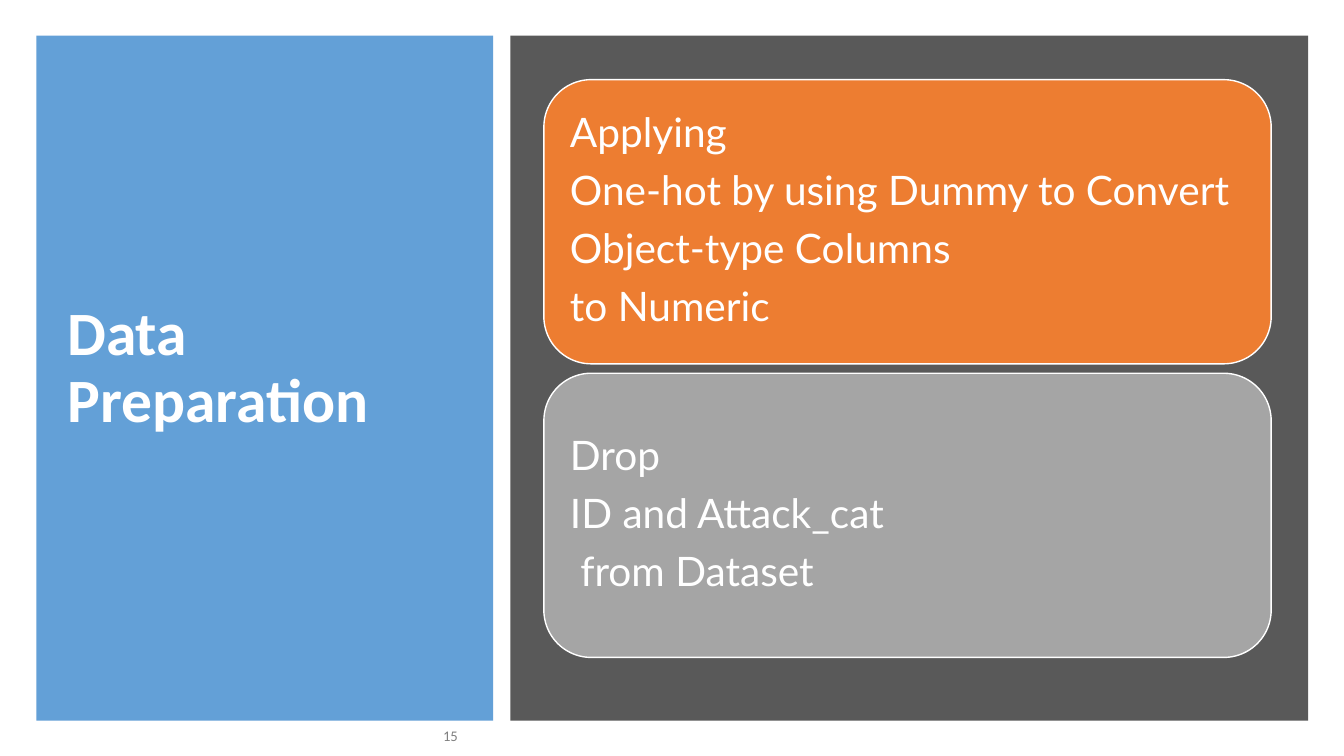
"""Build the Data Preparation slide: a title panel beside two step cards."""
from lxml import etree
from pptx import Presentation
from pptx.dml.color import RGBColor
from pptx.enum import shapes, text
from pptx.oxml import ns
from pptx.util import Pt

WHITE = RGBColor(0xFF, 0xFF, 0xFF)
BLUE = RGBColor(0x5B, 0x9B, 0xD5)
DARK_GREY = RGBColor(0x59, 0x59, 0x59)
ORANGE = RGBColor(0xED, 0x7D, 0x31)
LIGHT_GREY = RGBColor(0xA5, 0xA5, 0xA5)
NUMBER_GREY = RGBColor(0x80, 0x80, 0x80)

PANEL_TOP, PANEL_HEIGHT = 25.4, 489.4
CARD_TOP, CARD_HEIGHT, CARD_PITCH = 56.9, 203, 209.7
CARDS = [
    (ORANGE, ["Applying", "One-hot by using Dummy to Convert",
              "Object-type Columns", "to Numeric"]),
    (LIGHT_GREY, ["Drop", "ID and Attack_cat", " from Dataset"]),
]

presentation = Presentation()
presentation.slide_width, presentation.slide_height = Pt(960), Pt(540)
slide = presentation.slides.add_slide(presentation.slide_layouts[6])


def add_block(kind, left, top, width, height, color):
    shape = slide.shapes.add_shape(kind, Pt(left), Pt(top), Pt(width), Pt(height))
    shape.shadow.inherit = False
    shape.fill.solid()
    shape.fill.fore_color.rgb = color
    shape.line.fill.background()
    return shape


def write_lines(shape, lines, font, size, color, align=text.PP_ALIGN.LEFT,
                spacing=0.9, after=0, bold=False):
    frame = shape.text_frame
    frame.word_wrap = True
    frame.vertical_anchor = text.MSO_ANCHOR.MIDDLE
    for index, line in enumerate(lines):
        paragraph = frame.add_paragraph() if index else frame.paragraphs[0]
        paragraph.alignment = align
        paragraph.line_spacing = spacing
        paragraph.space_after = Pt(after)
        run = paragraph.add_run()
        run.text = line
        run.font.name = font
        run.font.size = Pt(size)
        run.font.bold = bold
        run.font.color.rgb = color


title_panel = add_block(shapes.MSO_SHAPE.RECTANGLE, 25.9, PANEL_TOP, 326.3, PANEL_HEIGHT, BLUE)
panel_color = title_panel.fill._xPr.find(".//" + ns.qn("a:srgbClr"))
etree.SubElement(panel_color, ns.qn("a:alpha"), val="95000")

title = slide.shapes.add_textbox(Pt(41), Pt(46.1), Pt(293), Pt(434.9))
write_lines(title, ["Data Preparation"], "Calibri", 44, WHITE, bold=True)

add_block(shapes.MSO_SHAPE.RECTANGLE, 364.5, PANEL_TOP, 570, PANEL_HEIGHT, DARK_GREY)

slide_number = slide.shapes.add_textbox(Pt(257.8), Pt(514.8), Pt(76.3), Pt(21.6))
write_lines(slide_number, ["15"], "Calibri", 10.5, NUMBER_GREY,
            align=text.PP_ALIGN.RIGHT, spacing=1.0, after=6)

for row, (color, lines) in enumerate(CARDS):
    card = add_block(shapes.MSO_SHAPE.ROUNDED_RECTANGLE, 388.5,
                     CARD_TOP + row * CARD_PITCH, 519.5, CARD_HEIGHT, color)
    card.line.color.rgb = WHITE
    card.line.width = Pt(1)
    frame = card.text_frame
    frame.margin_left = frame.margin_right = Pt(8.7)
    frame.margin_top = frame.margin_bottom = Pt(8.7)
    write_lines(card, lines, "Lato", 29, WHITE, after=10.15)

presentation.save("out.pptx")
